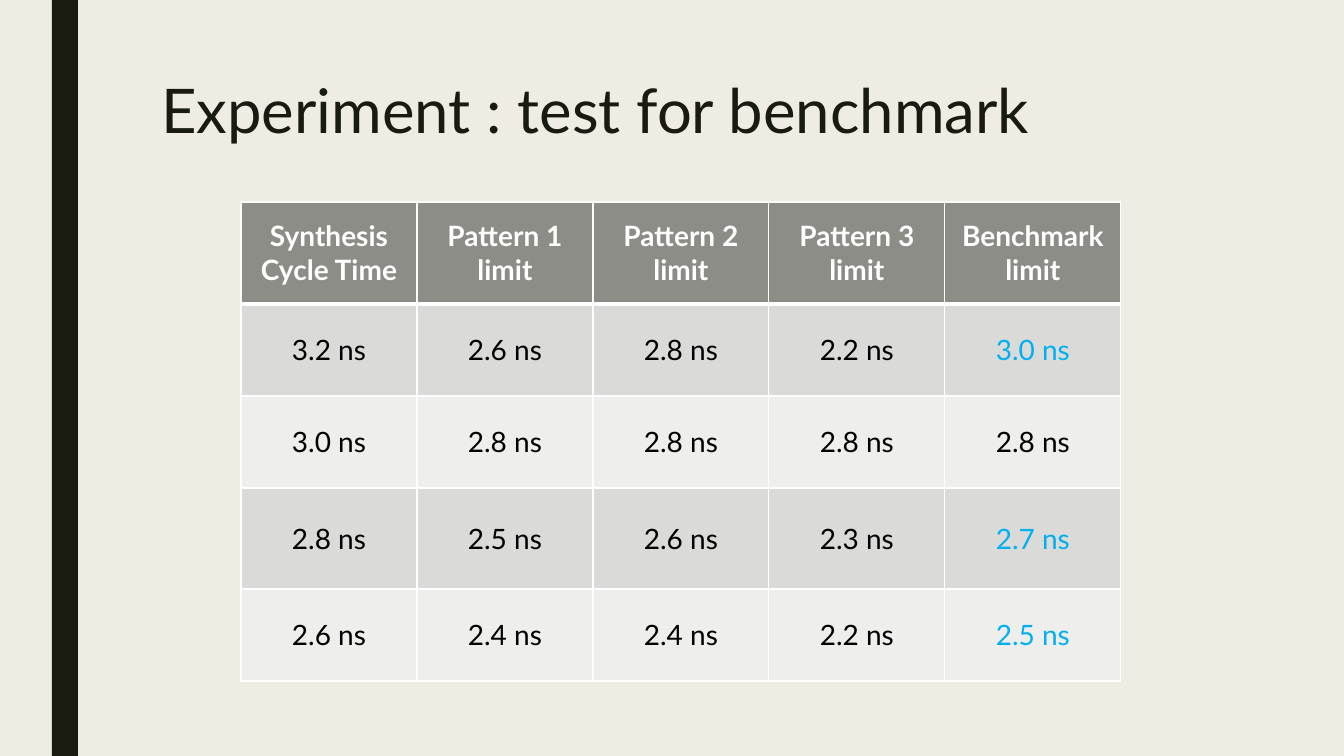
from lxml.etree import SubElement
from pptx import Presentation
from pptx.dml.color import RGBColor
from pptx.enum.shapes import MSO_SHAPE as Shape
from pptx.enum.text import MSO_ANCHOR as Anchor, PP_ALIGN as Align
from pptx.oxml.ns import qn
from pptx.util import Pt

PX = 914400 / 100.8
COLORS = {
    "background": "EFEDE3",
    "dark": "191B0E",
    "header": "8C8D86",
    "odd": "DADBD9",
    "even": "EEEEED",
    "white": "FFFFFF",
    "black": "000000",
    "highlight": "00B0F0",
}
HEADINGS = ["Synthesis\nCycle Time", "Pattern 1\nlimit", "Pattern 2\nlimit",
            "Pattern 3\nlimit", "Benchmark\nlimit"]
TIMES = [
    [3.2, 2.6, 2.8, 2.2, 3.0],
    [3.0, 2.8, 2.8, 2.8, 2.8],
    [2.8, 2.5, 2.6, 2.3, 2.7],
    [2.6, 2.4, 2.4, 2.2, 2.5],
]
COLUMN_WIDTH = 176
ROW_HEIGHTS = [102, 92, 92, 101, 92]


def px(*lengths):
    return [round(length * PX) for length in lengths]


def write(frame, text, size=20, color="black", bold=False, align=Align.CENTER,
          anchor=Anchor.MIDDLE, spacing=None):
    """Fill a text frame, one paragraph per line of text."""
    frame.text = text
    frame.word_wrap = True
    frame.vertical_anchor = anchor
    for paragraph in frame.paragraphs:
        paragraph.alignment = align
        if spacing:
            paragraph.line_spacing = spacing
        font = paragraph.runs[0].font
        font.name, font.size, font.bold = "Lato", Pt(size), bold
        font.color.rgb = RGBColor.from_string(COLORS[color])


deck = Presentation()
deck.slide_width, deck.slide_height = px(1344, 756)
slide = deck.slides.add_slide(deck.slide_layouts[5])
slide.background.fill.solid()
slide.background.fill.fore_color.rgb = RGBColor.from_string(COLORS["background"])

side_bar = slide.shapes.add_shape(Shape.RECTANGLE, *px(52, 0, 26, 756))
side_bar.shadow.inherit = False
side_bar.fill.solid()
side_bar.fill.fore_color.rgb = RGBColor.from_string(COLORS["dark"])
side_bar.line.fill.background()

title = slide.shapes.title
title.left, title.top, title.width, title.height = px(151, 76, 1058, 163)
write(title.text_frame, "Experiment : test for benchmark", size=44, color="dark",
      align=Align.LEFT, anchor=Anchor.TOP, spacing=0.89)

limits = slide.shapes.add_table(
    len(ROW_HEIGHTS), len(HEADINGS),
    *px(241, 202, COLUMN_WIDTH * len(HEADINGS), sum(ROW_HEIGHTS))).table
for column in limits.columns:
    column.width = px(COLUMN_WIDTH)[0]
for row, height in zip(limits.rows, ROW_HEIGHTS):
    row.height = px(height)[0]

for row_index, values in enumerate([HEADINGS] + TIMES):
    is_header = row_index == 0
    for column_index, value in enumerate(values):
        cell = limits.cell(row_index, column_index)
        if is_header:
            write(cell.text_frame, value, color="white", bold=True)
            fill = "header"
        else:
            # A benchmark limit that differs from the slowest pattern stands out
            differs = column_index == 4 and value != max(values[1:4])
            write(cell.text_frame, f"{value:.1f} ns",
                  color="highlight" if differs else "black")
            fill = "odd" if row_index % 2 else "even"
        cell.vertical_anchor = Anchor.MIDDLE

        borders = {"L": 1, "R": 1, "T": 3 if row_index == 1 else 1,
                   "B": 3 if is_header else 1}
        for side, width in borders.items():
            line = SubElement(cell._tc.get_or_add_tcPr(), qn(f"a:ln{side}"),
                              w=str(Pt(width)))
            SubElement(SubElement(line, qn("a:solidFill")), qn("a:srgbClr"),
                       val=COLORS["white"])
        cell.fill.solid()
        cell.fill.fore_color.rgb = RGBColor.from_string(COLORS[fill])

deck.save("out.pptx")
